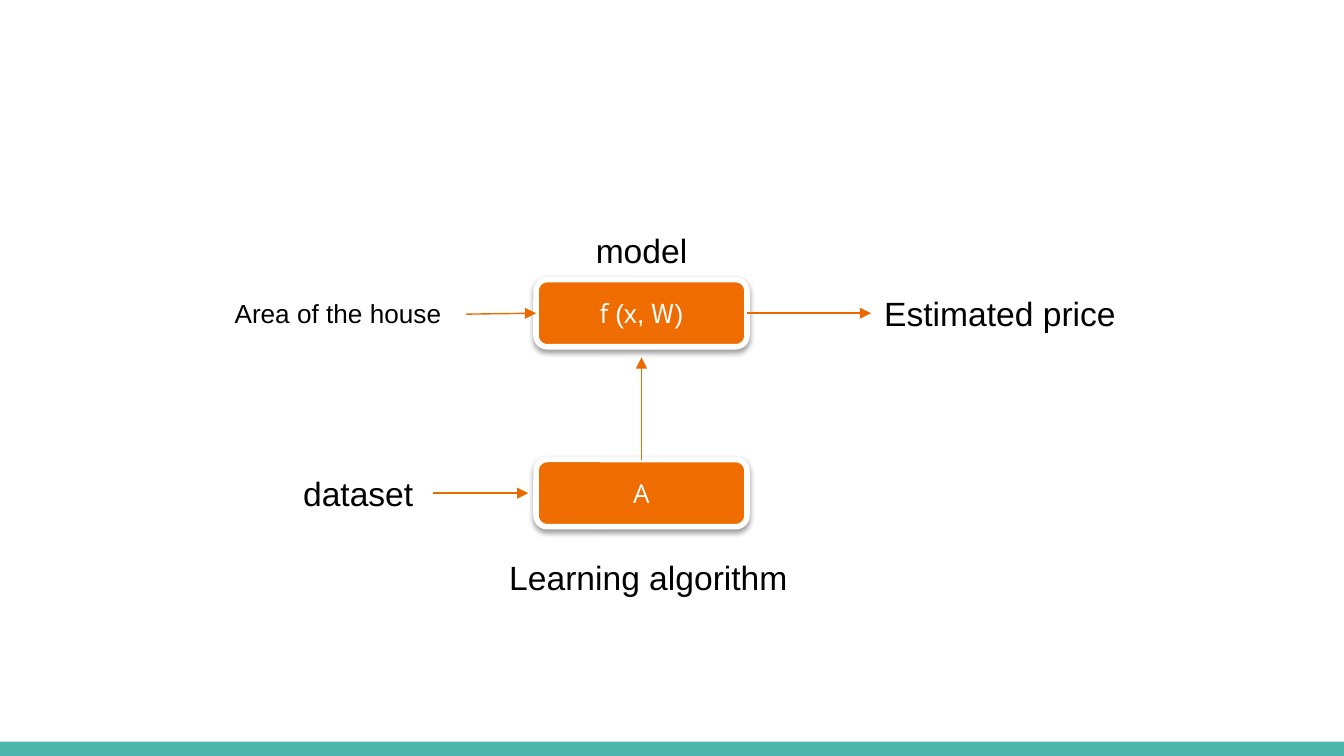
from typing import NamedTuple

from lxml.etree import SubElement
from pptx import Presentation
from pptx.dml.color import RGBColor
from pptx.enum.shapes import MSO_CONNECTOR, MSO_SHAPE
from pptx.enum.text import MSO_ANCHOR, MSO_AUTO_SIZE, PP_ALIGN
from pptx.oxml import parse_xml
from pptx.oxml.ns import nsdecls, qn
from pptx.util import Pt

COLORS = {
    "box": "EF6C00",
    "arrow": "EA6A00",
    "bar": "4DB6AC",
    "white": "FFFFFF",
    "text": "000000",
}
BOX_LEFT, BOX_W, BOX_H = 287.2, 113, 36
BOX_RIGHT = BOX_LEFT + BOX_W
BOX_MID = BOX_LEFT + BOX_W / 2
MODEL_TOP, ALGORITHM_TOP = 149.8, 246.2
MODEL_MID = MODEL_TOP + BOX_H / 2
ALGORITHM_MID = ALGORITHM_TOP + BOX_H / 2


class Box(NamedTuple):
    top: float
    runs: list[tuple[str, str]]


class Label(NamedTuple):
    text: str
    left: float
    top: float
    width: float
    height: float = 29
    size: float = 18
    align: PP_ALIGN = PP_ALIGN.CENTER


class Arrow(NamedTuple):
    x1: float
    y1: float
    x2: float
    y2: float


BOXES = [
    Box(MODEL_TOP, [("f ", "Open Sans"), ("(x, ", "Arial"),
                    ("W", "Noto Sans CJK SC"), (")", "Arial")]),
    Box(ALGORITHM_TOP, [("A", "Open Sans")]),
]
LABELS = [
    Label("Area of the house", 112.3, 156, 137.5, height=24.5, size=14),
    Label("Estimated price", 466.6, 153.4, 142, align=PP_ALIGN.LEFT),
    Label("model", 303.4, 119.5, 80.6),
    Label("Learning algorithm", 260.6, 294.8, 173.5),
    Label("dataset", 151.9, 249.8, 80),
]
ARROWS = [
    Arrow(249.8, 168.3, BOX_LEFT, MODEL_MID),
    Arrow(BOX_RIGHT, MODEL_MID, 466.6, MODEL_MID),
    Arrow(BOX_MID, ALGORITHM_TOP, BOX_MID, 191.5),
    Arrow(231.8, ALGORITHM_MID, 283, ALGORITHM_MID),
]


def rgb(name: str) -> RGBColor:
    return RGBColor.from_string(COLORS[name])


def add_text(p, text: str, *, font: str = "Arial", size: float = 14,
             color: str = "text") -> None:
    r = p.add_run()
    r.text = text
    r.font.name = font
    r.font.size = Pt(size)
    r.font.color.rgb = rgb(color)
    for tag in ("a:ea", "a:cs"):
        SubElement(r.font._element, qn(tag)).set("typeface", font)


def add_bar(s) -> None:
    sp = s.shapes.add_shape(MSO_SHAPE.RECTANGLE, Pt(0), Pt(397.4), Pt(720), Pt(7.6))
    sp.shadow.inherit = False
    sp.fill.solid()
    sp.fill.fore_color.rgb = rgb("bar")
    sp.line.fill.background()


def add_box(s, box: Box) -> None:
    sp = s.shapes.add_shape(MSO_SHAPE.ROUNDED_RECTANGLE,
                            Pt(BOX_LEFT), Pt(box.top), Pt(BOX_W), Pt(BOX_H))
    sp.fill.solid()
    sp.fill.fore_color.rgb = rgb("box")
    sp.line.color.rgb = rgb("white")
    sp.line.width = Pt(3)
    sp._element.spPr.append(parse_xml(
        f'<a:effectLst {nsdecls("a")}>'
        f'<a:outerShdw blurRad="{Pt(3.1)}" dist="{Pt(1.6)}" dir="5400000" rotWithShape="0">'
        '<a:srgbClr val="000000"><a:alpha val="38000"/></a:srgbClr>'
        '</a:outerShdw></a:effectLst>'))
    tf = sp.text_frame
    tf.word_wrap = True
    tf.vertical_anchor = MSO_ANCHOR.MIDDLE
    p = tf.paragraphs[0]
    p.alignment = PP_ALIGN.CENTER
    for text, font in box.runs:
        add_text(p, text, font=font, color="white")


def add_label(s, label: Label) -> None:
    sp = s.shapes.add_textbox(Pt(label.left), Pt(label.top),
                              Pt(label.width), Pt(label.height))
    tf = sp.text_frame
    tf.word_wrap = True
    tf.auto_size = MSO_AUTO_SIZE.SHAPE_TO_FIT_TEXT
    p = tf.paragraphs[0]
    p.alignment = label.align
    add_text(p, label.text, size=label.size)


def add_arrow(s, arrow: Arrow) -> None:
    sp = s.shapes.add_connector(MSO_CONNECTOR.STRAIGHT, *(Pt(v) for v in arrow))
    sp.line.color.rgb = rgb("arrow")
    sp.line.width = Pt(0.75)
    SubElement(sp.line._get_or_add_ln(), qn("a:tailEnd")).set("type", "triangle")
    SubElement(sp._element.spPr, qn("a:effectLst"))


def main() -> None:
    prs = Presentation()
    prs.slide_width, prs.slide_height = Pt(720), Pt(405)
    s = prs.slides.add_slide(prs.slide_layouts[6])
    add_bar(s)
    for box in BOXES:
        add_box(s, box)
    for label in LABELS:
        add_label(s, label)
    for arrow in ARROWS:
        add_arrow(s, arrow)
    prs.save("out.pptx")


if __name__ == "__main__":
    main()
